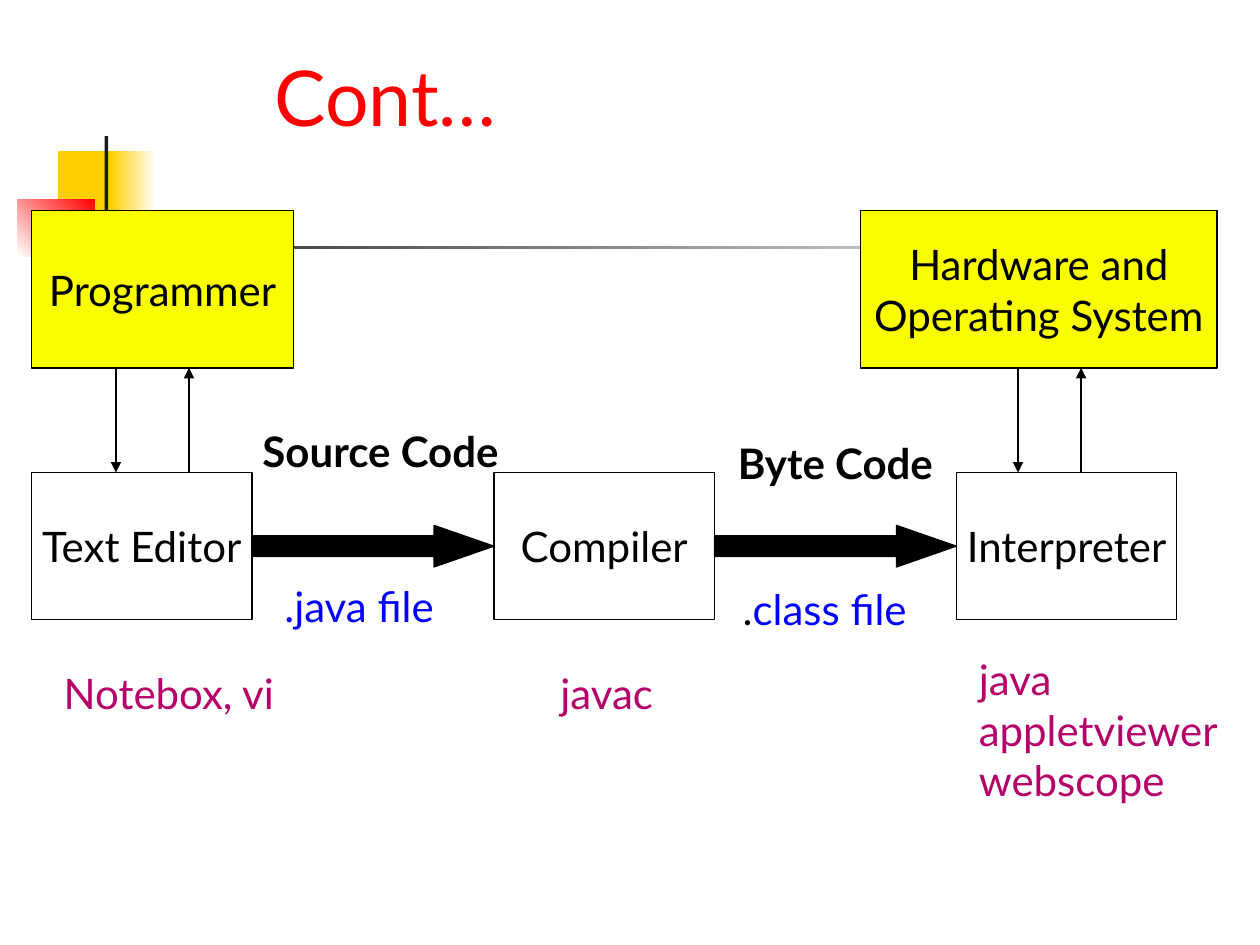
from lxml import etree
from pptx import Presentation
from pptx.dml.color import RGBColor
from pptx.enum.shapes import MSO_CONNECTOR, MSO_SHAPE
from pptx.enum.text import MSO_ANCHOR, PP_ALIGN
from pptx.oxml.ns import qn
from pptx.util import Inches, Pt

RECT, BLOCK_ARROW = MSO_SHAPE.RECTANGLE, MSO_SHAPE.RIGHT_ARROW
STRAIGHT = MSO_CONNECTOR.STRAIGHT
LEFT, CENTER = PP_ALIGN.LEFT, PP_ALIGN.CENTER
TOP, MIDDLE, BOTTOM = MSO_ANCHOR.TOP, MSO_ANCHOR.MIDDLE, MSO_ANCHOR.BOTTOM

COLORS = {
    "black": "000000",
    "white": "FFFFFF",
    "charcoal": "1C1C1C",
    "gold": "FFCF01",
    "red": "FF0000",
    "yellow": "FAFD00",
    "blue": "0000FF",
    "plum": "B50069",
}
BODY = {"name": "Lato", "size": Pt(24), "bold": False}

STAGE_LEFT, STAGE_STEP, STAGE_WIDTH = 0.25, 3.67, 1.75
STAGE_TOP, STAGE_HEIGHT = 3.75, 1.17
ACTOR_TOP, ACTOR_HEIGHT = 1.67, 1.25
ACTOR_BOTTOM = ACTOR_TOP + ACTOR_HEIGHT


def rgb(color):
    return RGBColor.from_string(COLORS[color])


def write(frame, paragraphs, align=CENTER, anchor=TOP, wrap=False, **changes):
    """Fill a text frame; each paragraph is a list of (text, color) runs."""
    frame.word_wrap = wrap
    frame.vertical_anchor = anchor
    for index, runs in enumerate(paragraphs):
        paragraph = frame.paragraphs[0] if index == 0 else frame.add_paragraph()
        paragraph.alignment = align
        for text, color in runs:
            run = paragraph.add_run()
            run.text = text
            for key, value in {**BODY, **changes}.items():
                setattr(run.font, key, value)
            run.font.color.rgb = rgb(color)


def add_block(slide, kind, box, color, outlined=True):
    block = slide.shapes.add_shape(kind, *map(Inches, box))
    block.shadow.inherit = False
    block.fill.solid()
    block.fill.fore_color.rgb = rgb(color)
    if outlined:
        block.line.color.rgb = rgb("black")
        block.line.width = Pt(0.75)
    else:
        block.line.fill.background()
    return block


def add_fade(slide, box, start, end, angle=0):
    """Add a band that fades from one color to another."""
    fill = add_block(slide, RECT, box, start, outlined=False).fill
    fill.gradient()
    fill.gradient_angle = angle
    for stop, color, position in zip(fill.gradient_stops, (start, end), (0, 1)):
        stop.color.rgb = rgb(color)
        stop.position = position


def add_node(slide, box, color, lines):
    node = add_block(slide, RECT, box, color)
    write(node.text_frame, [[(line, "black")] for line in lines], anchor=MIDDLE)


def add_flow(slide, left):
    """Add the thick arrow that leads from one stage to the next."""
    width, height = STAGE_STEP - STAGE_WIDTH, 0.33
    flow = add_block(slide, BLOCK_ARROW, (left, 4.17, width, height), "black")
    flow.adjustments[1] = 1.44


def add_arrow(slide, x, start, end):
    arrow = slide.shapes.add_connector(
        STRAIGHT, Inches(x), Inches(start), Inches(x), Inches(end))
    arrow.line.color.rgb = rgb("black")
    arrow.line.width = Pt(0.75)
    etree.SubElement(arrow.line._ln, qn("a:tailEnd"), type="triangle")
    etree.SubElement(arrow._element.spPr, qn("a:effectLst"))


def add_label(slide, box, paragraphs, **options):
    label = slide.shapes.add_textbox(*map(Inches, box))
    write(label.text_frame, paragraphs, **options)


def add_title(slide, text):
    title = slide.shapes.title
    placing = {"left": 2.08, "top": -0.42, "width": 8.52, "height": 1.6}
    for key, value in placing.items():
        setattr(title, key, Inches(value))
    write(title.text_frame, [[(text, "red")]], align=LEFT, anchor=BOTTOM,
          wrap=True, size=Pt(44))


def add_decoration(slide):
    add_block(slide, RECT, (0.46, 1.2, 0.48, 0.52), "gold", outlined=False)
    add_fade(slide, (0.88, 1.2, 0.36, 0.52), "gold", "white")
    add_fade(slide, (0.14, 1.58, 0.61, 0.46), "white", "red", angle=45)
    add_block(slide, RECT, (0.83, 1.08, 0.03, 1.15), "charcoal", outlined=False)
    add_fade(slide, (0.48, 1.95, 9, 0.03), "charcoal", "white")


def add_process(slide):
    stages = ["Text Editor", "Compiler", "Interpreter"]
    for index, stage in enumerate(stages):
        left = STAGE_LEFT + index * STAGE_STEP
        add_node(slide, (left, STAGE_TOP, STAGE_WIDTH, STAGE_HEIGHT), "white", [stage])
        if index < len(stages) - 1:
            add_flow(slide, left + STAGE_WIDTH)

    actors = [
        (0.25, 2.08, ["Programmer"], 0.92, 1.5),
        (6.83, 2.83, ["Hardware and", "Operating System"], 8.08, 8.58),
    ]
    for left, width, lines, down_x, up_x in actors:
        add_node(slide, (left, ACTOR_TOP, width, ACTOR_HEIGHT), "yellow", lines)
        add_arrow(slide, down_x, ACTOR_BOTTOM, STAGE_TOP)
        add_arrow(slide, up_x, STAGE_TOP, ACTOR_BOTTOM)


def add_labels(slide):
    add_label(slide, (1.9, 3.33, 2.24, 0.5), [[("Source Code", "black")]], bold=True)
    add_label(slide, (5.67, 3.42, 1.92, 0.5), [[("Byte Code", "black")]], bold=True)
    add_label(slide, (2.11, 4.56, 1.48, 0.5), [[(".java file", "blue")]])
    add_label(slide, (5.75, 4.58, 1.59, 0.5),
              [[(".", "black"), ("class file", "blue")]])
    add_label(slide, (0.33, 5.25, 2.02, 0.5), [[("Notebox, vi", "plum")]])
    add_label(slide, (4.33, 5.25, 0.97, 0.5), [[("javac", "plum")]])
    tools = ["java", "appletviewer", "webscope"]
    add_label(slide, (7.67, 5.14, 2.22, 1.3),
              [[(tool, "plum")] for tool in tools], align=LEFT)


def main():
    prs = Presentation()
    prs.slide_width, prs.slide_height = Inches(10), Inches(7.5)
    slide = prs.slides.add_slide(prs.slide_layouts[5])
    add_title(slide, "Cont…")
    add_decoration(slide)
    add_process(slide)
    add_labels(slide)
    prs.save("out.pptx")


if __name__ == "__main__":
    main()
